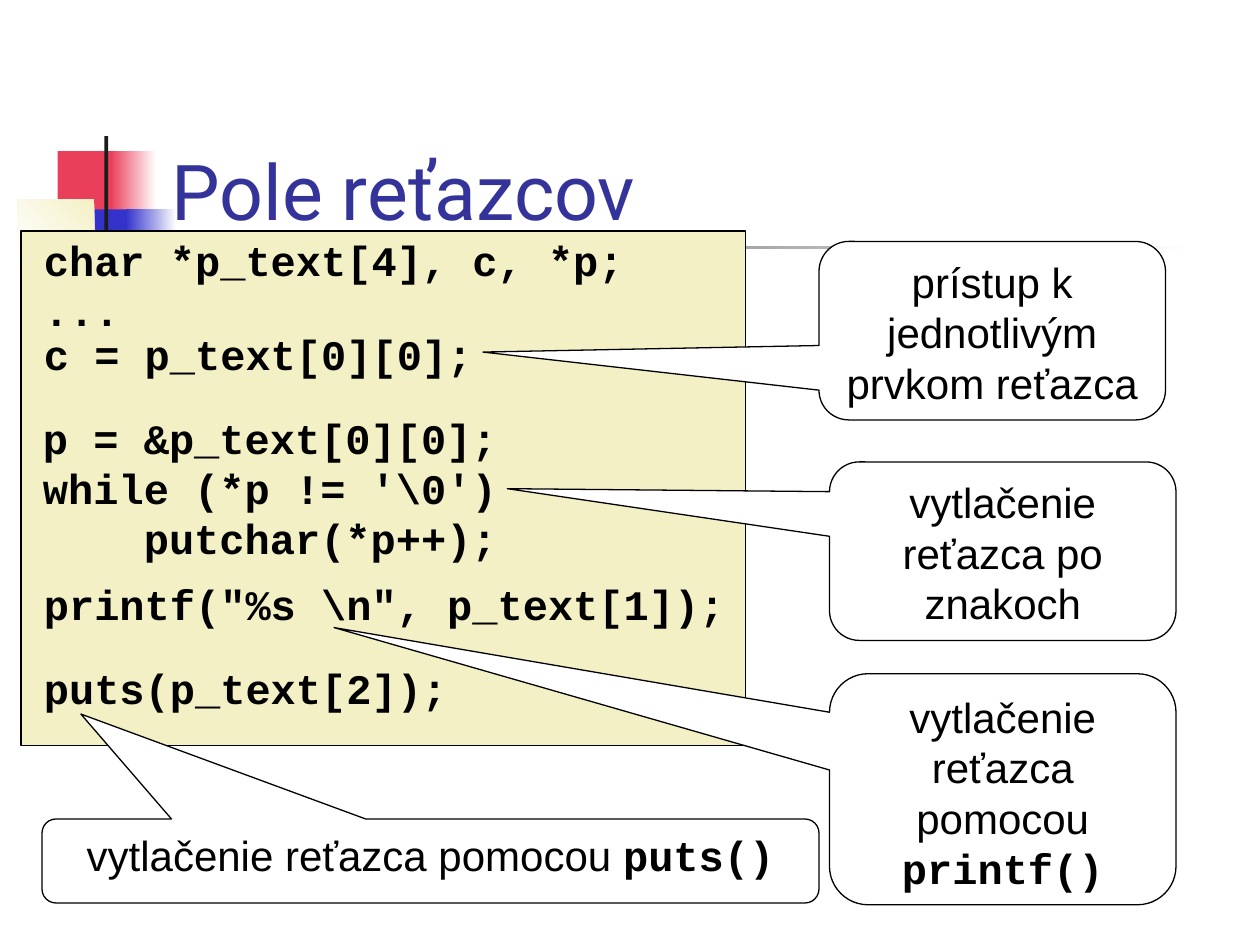
from pptx import Presentation
from pptx.dml.color import RGBColor
from pptx.enum.shapes import MSO_SHAPE
from pptx.enum.text import MSO_ANCHOR, MSO_AUTO_SIZE, PP_ALIGN
from pptx.util import Pt

COLORS = {
    "red": "E93F5B", "blue": "3333CC", "cream": "F4F0C6", "dark": "1C1C1C",
    "white": "FFFFFF", "black": "000000", "title": "333399",
}
CODE = {"name": "Courier New", "size": Pt(24), "bold": True}
BODY = {"name": "Arial", "size": Pt(24), "bold": False}
TITLE = {"name": "Roboto", "size": Pt(44), "bold": False}
FRAME = {
    "margin_left": Pt(7.2), "margin_right": Pt(7.2),
    "margin_top": Pt(3.6), "margin_bottom": Pt(3.6),
}


def color(name):
    """Return the named colour."""
    return RGBColor.from_string(COLORS[name])


def set_values(target, values):
    """Set every attribute in values on the target."""
    for key, value in values.items():
        setattr(target, key, value)


def format_font(font, values, color_name):
    """Give a font its values and colour."""
    set_values(font, values)
    font.color.rgb = color(color_name)


def add_box(slide, box, fill, kind=MSO_SHAPE.RECTANGLE, line=None):
    """Add a shape with a plain fill and an optional thin line."""
    shape = slide.shapes.add_shape(kind, *map(Pt, box))
    shape.shadow.inherit = False
    shape.fill.solid()
    shape.fill.fore_color.rgb = color(fill)
    if line:
        shape.line.color.rgb = color(line)
        shape.line.width = Pt(0.75)
    else:
        shape.line.fill.background()
    return shape


def add_gradient(slide, box, start, end, angle=180):
    """Add a rectangle that fades from start to end."""
    shape = add_box(slide, box, start)
    shape.fill.gradient()
    shape.fill.gradient_angle = angle
    for stop, name in zip(shape.fill.gradient_stops, (start, end)):
        stop.color.rgb = color(name)


def add_ornament(slide, box):
    """Draw the overlapping squares and the two rules."""
    left, top, width, height = box
    side = 37.4
    add_box(slide, (left + 23, top + 8.6, 34.6, side), "red")
    add_gradient(slide, (left + 53.3, top + 8.6, 25.9, side), "white", "red")
    add_box(slide, (left + 32.4, top + 41.8, 33.1, side), "blue")
    add_gradient(slide, (left + 62, top + 41.8, 28.8, side), "white", "blue")
    add_gradient(slide, (left, top + 36, 43.9, 33.1), "cream", "white", 225)
    add_box(slide, (left + 49.7, top, 2.2, height), "dark")
    add_gradient(slide, (left + 24.5, top + 62.6, width - 24.5, 2.2), "white", "dark")


def add_title(slide, box, text):
    """Place and format the title above the ornament."""
    title = slide.shapes.title
    set_values(title, dict(zip(("left", "top", "width", "height"), map(Pt, box))))
    frame = title.text_frame
    frame.text = text
    set_values(frame, {**FRAME, "vertical_anchor": MSO_ANCHOR.BOTTOM,
                       "auto_size": MSO_AUTO_SIZE.NONE, "word_wrap": True})
    paragraph = frame.paragraphs[0]
    paragraph.alignment = PP_ALIGN.LEFT
    format_font(paragraph.runs[0].font, TITLE, "title")
    slide.shapes._spTree.append(title._element)


def add_code(slide, box, blocks):
    """Draw the code panel and its blocks of lines."""
    left, top, width, height = box
    add_box(slide, box, "cream", line="black")
    for offset_x, offset_y, block_width, lines in blocks:
        size = (left + offset_x, top + offset_y, block_width, 28.8 * len(lines) + 7.2)
        frame = slide.shapes.add_textbox(*map(Pt, size)).text_frame
        set_values(frame, {**FRAME, "word_wrap": False,
                           "auto_size": MSO_AUTO_SIZE.SHAPE_TO_FIT_TEXT})
        for index, line in enumerate(lines):
            paragraph = frame.add_paragraph() if index else frame.paragraphs[0]
            run = paragraph.add_run()
            run.text = line
            format_font(run.font, CODE, "black")


def add_callout(slide, box, pointer, text, function=""):
    """Add a rounded callout whose text may end in a function name."""
    shape = add_box(slide, box, "white", MSO_SHAPE.ROUNDED_RECTANGULAR_CALLOUT, "black")
    for index, value in enumerate((*pointer, 0.167)):
        shape.adjustments[index] = value
    frame = shape.text_frame
    set_values(frame, {**FRAME, "word_wrap": True, "vertical_anchor": MSO_ANCHOR.TOP})
    paragraph = frame.paragraphs[0]
    paragraph.alignment = PP_ALIGN.CENTER
    for words, values in ((text, BODY), (function, CODE)):
        if words:
            run = paragraph.add_run()
            run.text = words
            format_font(run.font, values, "black")


def main():
    """Build the slide and save it."""
    presentation = Presentation()
    set_values(presentation, {"slide_width": Pt(720), "slide_height": Pt(540)})
    slide = presentation.slides.add_slide(presentation.slide_layouts[5])
    add_ornament(slide, (10, 77.8, 672.5, 82.8))
    add_title(slide, (90.7, 48.2, 613.4, 90), "Pole reťazcov")
    add_code(slide, (12, 132, 414, 294), [
        (6, -1.7, 345.6, ["char *p_text[4], c, *p;", "..."]),
        (6, 52.3, 259.2, ["c = p_text[0][0];"]),
        (5.5, 100, 273.6, ["p = &p_text[0][0];", "while (*p != '\\0')", "    putchar(*p++);"]),
        (6, 195, 403.2, ['printf("%s \\n", p_text[1]);']),
        (6, 243, 244.8, ["puts(p_text[2]);"]),
    ])
    add_callout(slide, (24, 468, 444, 48), (-0.45, -1.75),
                "vytlačenie reťazca pomocou ", "puts()")
    add_callout(slide, (474, 264, 198, 102), (-1.43, -0.35), "vytlačenie reťazca po znakoch")
    add_callout(slide, (468, 138, 198, 102), (-1.47, 0.12), "prístup k jednotlivým prvkom reťazca")
    add_callout(slide, (474, 385, 198, 132), (-1.93, -0.7),
                "vytlačenie reťazca pomocou ", "printf()")


    presentation.save("out.pptx")


if __name__ == "__main__":
    main()
